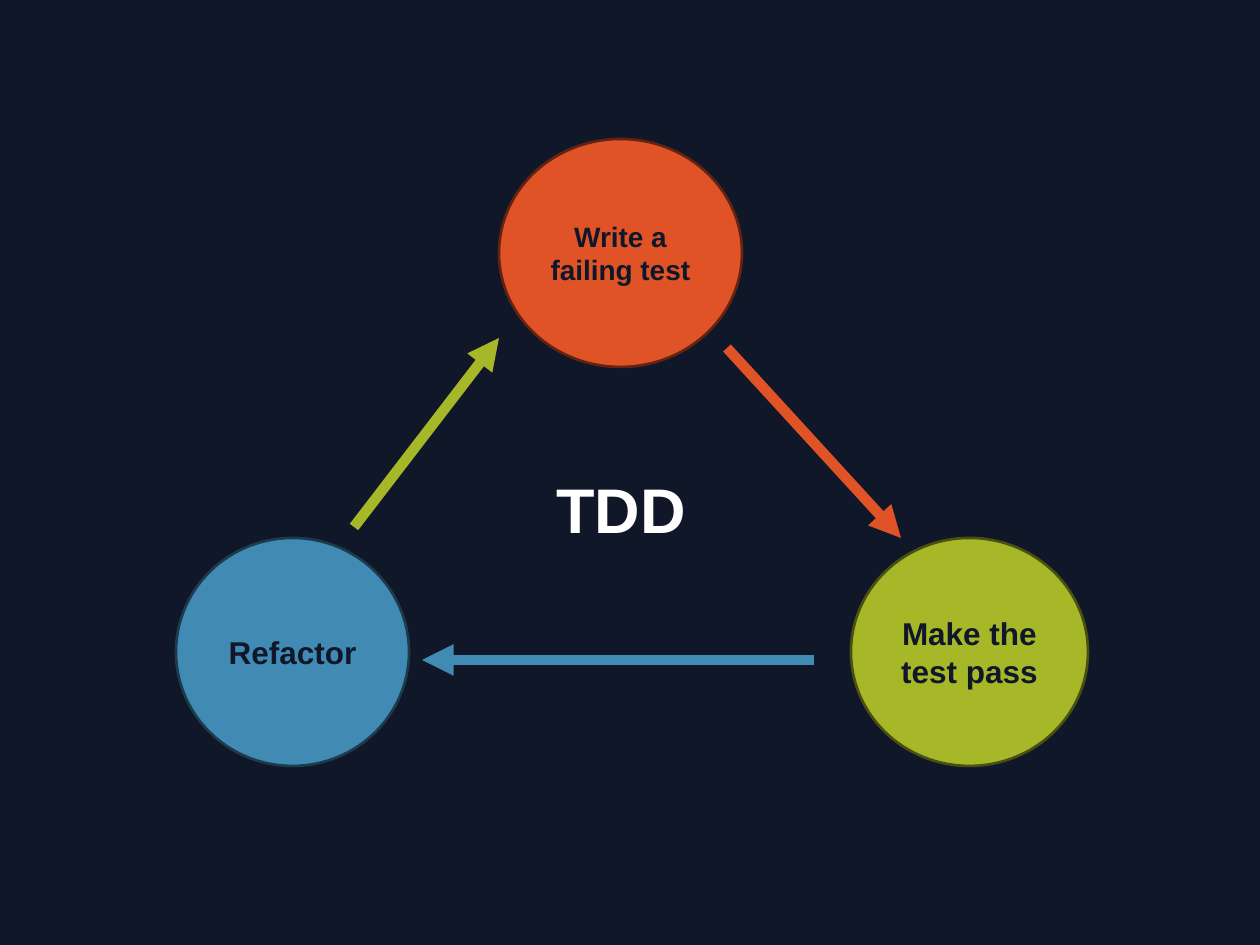
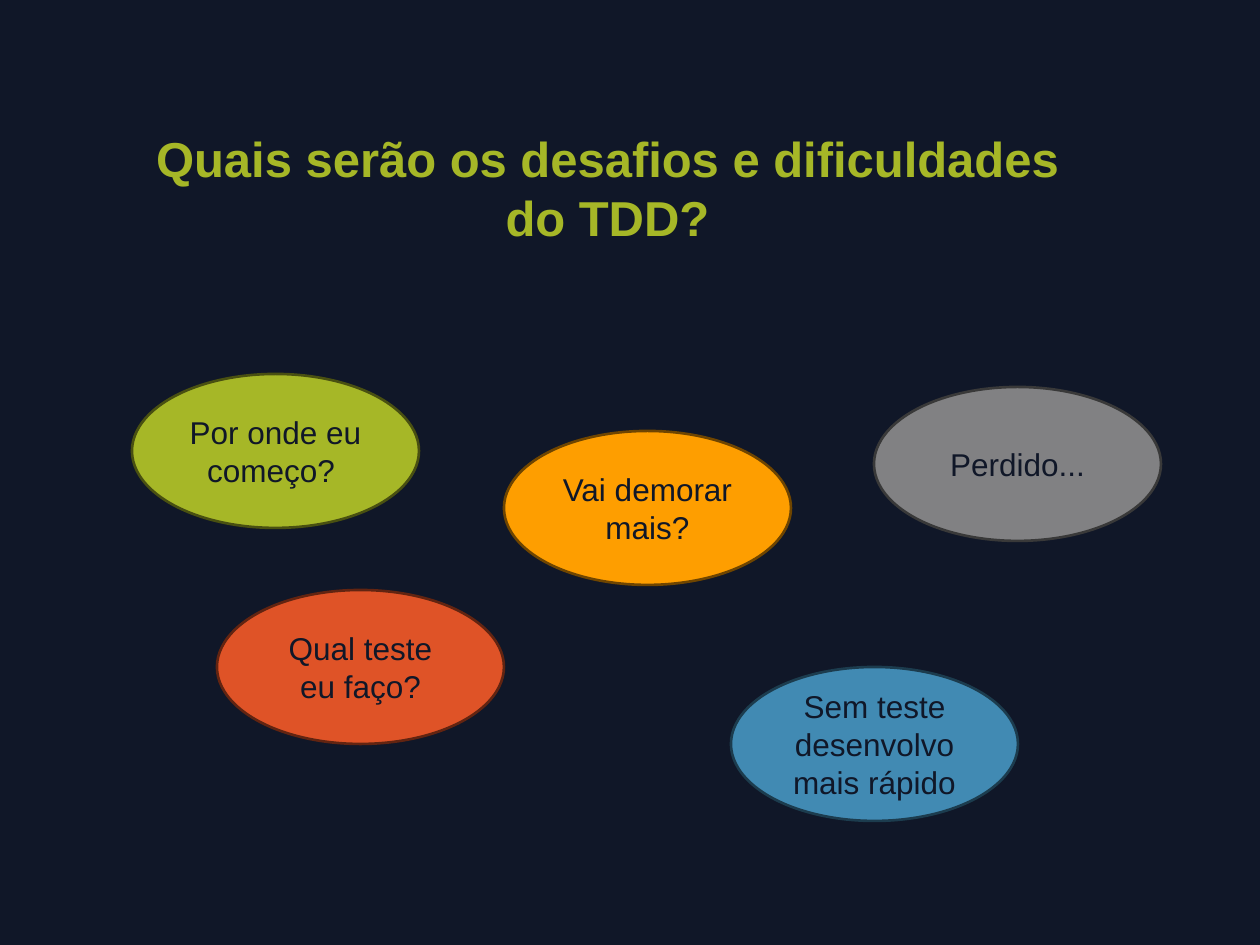
from lxml import etree
from pptx import Presentation
from pptx.dml.color import RGBColor
from pptx.enum.shapes import MSO_CONNECTOR, MSO_SHAPE
from pptx.enum.text import MSO_ANCHOR, MSO_AUTO_SIZE, PP_ALIGN
from pptx.oxml.ns import qn
from pptx.util import Emu, Pt

PX_PER_INCH = 126
SLIDE_SIZE = (1260, 945)
FONT = "Arial"
TITLE_ONLY, BLANK = 5, 6

COLORS = {
    "night": "101728",
    "white": "FFFFFF",
    "red": "DF5327",
    "blue": "418AB3",
    "green": "A6B727",
    "orange": "FE9E00",
    "gray": "818183",
}
OUTLINES = {
    "red": "622411",
    "blue": "1C3C4E",
    "green": "495011",
    "orange": "6F4500",
    "gray": "393939",
}

# Text, colour, text size, box (left, top, width, height)
CYCLE_STEPS = [
    ("Write a failing test", "red", 16, (499, 139, 243, 228)),
    ("Refactor", "blue", 18, (176, 538, 233, 228)),
    ("Make the test pass", "green", 18, (851, 538, 237, 228)),
]
# Colour, start, end
CYCLE_ARROWS = [
    ("red", (727, 348), (901, 538)),
    ("blue", (814, 660), (422, 660)),
    ("green", (354, 527), (499, 338)),
]
CYCLE_NAME = ("TDD", (544, 464, 156, 89))

QUESTION = ("Quais serão os desafios e dificuldades do TDD?", (122, 122, 971, 131))
DOUBT_SIZE = (287, 154)
# Text, colour, left and top
DOUBTS = [
    ("Por onde eu começo? ", "green", (132, 374)),
    ("Qual teste eu faço?", "red", (217, 590)),
    ("Vai demorar mais?", "orange", (504, 431)),
    ("Sem teste desenvolvo mais rápido", "blue", (731, 667)),
    ("Perdido...", "gray", (874, 387)),
]


def px(*lengths):
    return [Emu(round(length * 914400 / PX_PER_INCH)) for length in lengths]


def rgb(color):
    return RGBColor.from_string(COLORS[color])


def add_slide(deck, layout):
    slide = deck.slides.add_slide(deck.slide_layouts[layout])
    slide.background.fill.solid()
    slide.background.fill.fore_color.rgb = rgb("night")
    return slide


def write(frame, text, size, color, bold, align=PP_ALIGN.CENTER):
    paragraph = frame.paragraphs[0]
    paragraph.alignment = align
    run = paragraph.add_run()
    run.text = text
    run.font.name = FONT
    run.font.size = Pt(size)
    run.font.bold = bold
    run.font.color.rgb = rgb(color)


def add_bubble(slide, text, color, size, box, bold=False):
    bubble = slide.shapes.add_shape(MSO_SHAPE.OVAL, *px(*box))
    bubble.shadow.inherit = False
    bubble.fill.solid()
    bubble.fill.fore_color.rgb = rgb(color)
    bubble.line.color.rgb = RGBColor.from_string(OUTLINES[color])
    bubble.line.width = Pt(1.5)
    bubble.text_frame.word_wrap = True
    bubble.text_frame.vertical_anchor = MSO_ANCHOR.MIDDLE
    write(bubble.text_frame, text, size, "night", bold)


def add_arrow(slide, color, start, end):
    arrow = slide.shapes.add_connector(MSO_CONNECTOR.STRAIGHT, *px(*start, *end))
    arrow.line.color.rgb = rgb(color)
    arrow.line.width = Pt(6)
    etree.SubElement(arrow.line._get_or_add_ln(), qn("a:tailEnd"), type="triangle")
    etree.SubElement(arrow._element.spPr, qn("a:effectLst"))


def build_cycle(deck):
    slide = add_slide(deck, BLANK)
    for text, color, size, box in CYCLE_STEPS:
        add_bubble(slide, text, color, size, box, bold=True)
    for color, start, end in CYCLE_ARROWS:
        add_arrow(slide, color, start, end)
    name, box = CYCLE_NAME
    center = slide.shapes.add_textbox(*px(*box)).text_frame
    center.word_wrap = False
    center.auto_size = MSO_AUTO_SIZE.SHAPE_TO_FIT_TEXT
    write(center, name, 36, "white", True, PP_ALIGN.LEFT)


def build_doubts(deck):
    slide = add_slide(deck, TITLE_ONLY)
    question, box = QUESTION
    title = slide.shapes.title
    title.left, title.top, title.width, title.height = px(*box)
    title.text_frame.word_wrap = True
    title.text_frame.auto_size = MSO_AUTO_SIZE.NONE
    title.text_frame.vertical_anchor = MSO_ANCHOR.TOP
    write(title.text_frame, question, 28, "green", True)
    for text, color, corner in DOUBTS:
        add_bubble(slide, text, color, 18, corner + DOUBT_SIZE)


def main():
    deck = Presentation()
    deck.slide_width, deck.slide_height = px(*SLIDE_SIZE)
    build_cycle(deck)
    build_doubts(deck)
    deck.save("out.pptx")


if __name__ == "__main__":
    main()
